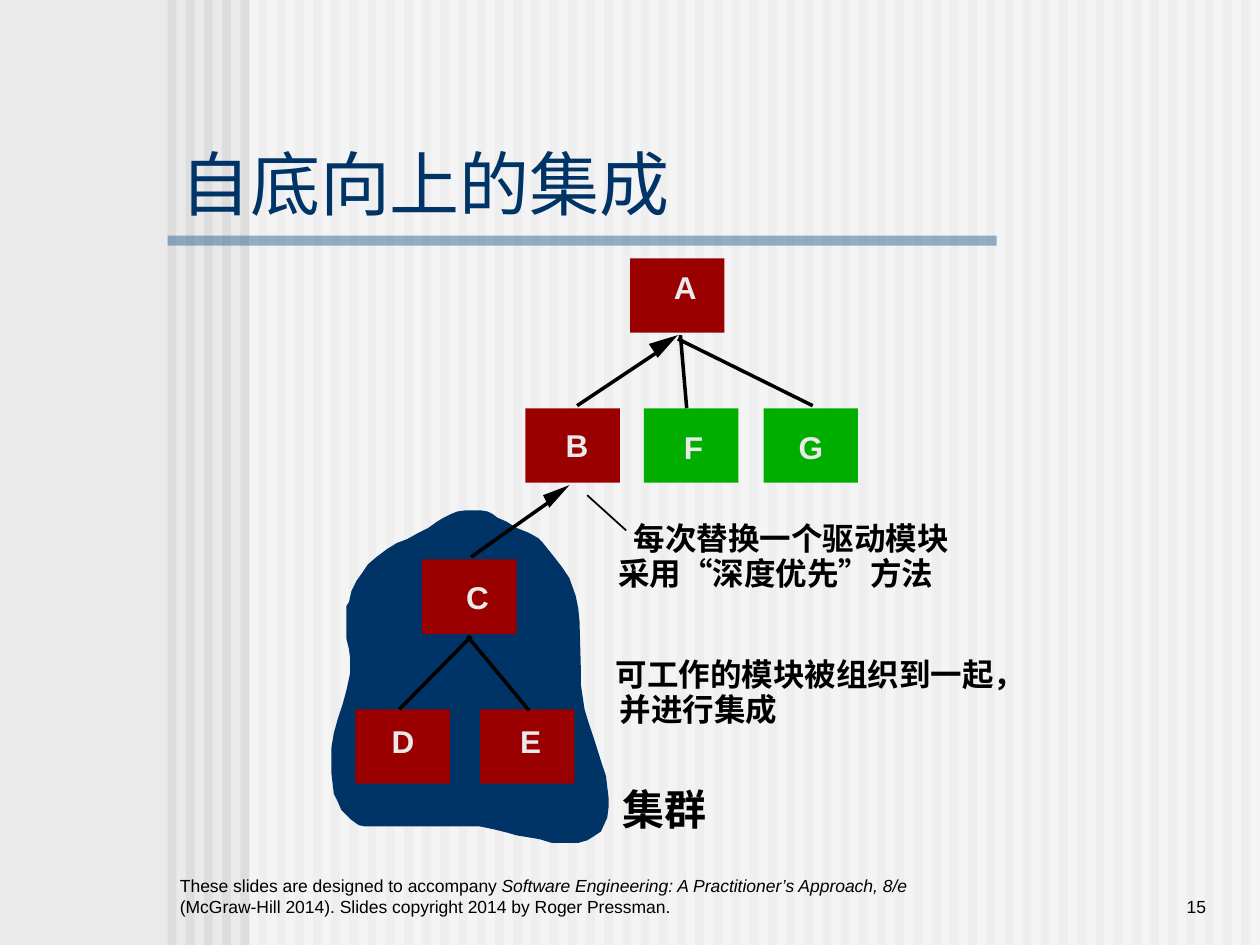
from lxml.etree import SubElement
from pptx import Presentation
from pptx.dml.color import RGBColor
from pptx.enum.shapes import MSO_CONNECTOR as Conn, MSO_SHAPE as Shape
from pptx.enum.text import MSO_ANCHOR as Anchor, MSO_AUTO_SIZE as Fit, PP_ALIGN as Align
from pptx.oxml.ns import qn
from pptx.util import Inches, Pt

THEME = dict(
    font="Arial", back="EAEAEA", stripe="DDDDDD", veil="FFFFFF", rule="336699",
    navy="003366", red="9A0000", green="00AE00", ink="000000", pale="EAEAEA",
    title=40, big=24, body=18, small=10,
)

TITLE = "自底向上的集成"
FOOT = [
    ("These slides are designed to accompany ", False),
    ("Software Engineering: A Practitioner’s Approach, 8/e ", True),
    ("(McGraw-Hill 2014). Slides copyright 2014 by Roger Pressman.", False),
]
PAGE = "15"

# name, box left and top, label left and top, colour
MODULES = [
    ("A", 5.00, 2.05, 5.25, 2.08, "red"),
    ("B", 4.17, 3.24, 4.39, 3.33, "red"),
    ("C", 3.35, 4.44, 3.60, 4.54, "red"),
    ("D", 2.82, 5.63, 3.01, 5.68, "red"),
    ("E", 3.81, 5.63, 4.03, 5.68, "red"),
    ("F", 5.11, 3.24, 5.33, 3.35, "green"),
    ("G", 6.06, 3.24, 6.24, 3.35, "green"),
]
BOX = (0.75, 0.59)
LABEL = (0.38, 0.4)

# text, left, top, width, height, size
NOTES = [
    ("每次替换一个驱动模块", 4.93, 4.07, 2.7, 0.4, "body"),
    ("采用“深度优先”方法", 4.81, 4.35, 2.7, 0.4, "body"),
    ("可工作的模块被组织到一起，", 4.79, 5.15, 3.45, 0.4, "body"),
    ("并进行集成", 4.82, 5.43, 1.45, 0.4, "body"),
    ("集群", 4.84, 6.17, 0.9, 0.5, "big"),
]

# from x, y, to x, y, width in points
LINES = [
    (5.21, 2.80, 4.58, 3.22, 2),
    (4.35, 3.99, 3.74, 4.42, 2),
    (3.74, 5.05, 3.17, 5.63, 2),
    (3.71, 5.05, 4.20, 5.64, 2),
    (5.40, 2.66, 5.45, 3.24, 2),
    (5.38, 2.69, 6.45, 3.22, 2),
    (4.66, 3.93, 4.97, 4.21, 1),
]
HEADS = [
    [(5.38, 2.66), (5.22, 2.84), (5.19, 2.79), (5.15, 2.73)],
    [(4.52, 3.85), (4.36, 4.03), (4.33, 3.97), (4.31, 3.93)],
]
CLUSTER = [
    (4.27, 4.27), (4.20, 4.23), (4.10, 4.19), (4.02, 4.14), (3.95, 4.11),
    (3.91, 4.08), (3.87, 4.06), (3.81, 4.05), (3.70, 4.05), (3.63, 4.06),
    (3.58, 4.08), (3.52, 4.11), (3.47, 4.14), (3.40, 4.19), (3.32, 4.23),
    (3.23, 4.28), (3.15, 4.31), (3.07, 4.36), (2.99, 4.42), (2.92, 4.48),
    (2.88, 4.54), (2.83, 4.61), (2.79, 4.69), (2.77, 4.78), (2.75, 4.81),
    (2.75, 5.07), (2.77, 5.15), (2.78, 5.23), (2.78, 5.34), (2.75, 5.48),
    (2.72, 5.59), (2.68, 5.71), (2.65, 5.82), (2.63, 5.94), (2.63, 6.13),
    (2.65, 6.30), (2.68, 6.36), (2.71, 6.43), (2.74, 6.46), (2.78, 6.50),
    (2.82, 6.53), (2.85, 6.55), (2.90, 6.56), (3.81, 6.56), (3.91, 6.58),
    (4.03, 6.61), (4.10, 6.63), (4.28, 6.66), (4.38, 6.69), (4.59, 6.69),
    (4.66, 6.67), (4.71, 6.64), (4.77, 6.60), (4.82, 6.49), (4.83, 6.41),
    (4.83, 6.33), (4.81, 6.16), (4.78, 6.07), (4.72, 5.88), (4.67, 5.73),
    (4.64, 5.63), (4.61, 5.43), (4.61, 5.29), (4.60, 4.93), (4.59, 4.83),
    (4.57, 4.73), (4.52, 4.59), (4.46, 4.50), (4.39, 4.41), (4.31, 4.31),
]


def hue(name):
    return RGBColor.from_string(THEME[name])


def paint(shape, color, alpha=None):
    shape.shadow.inherit = False
    shape.fill.solid()
    shape.fill.fore_color.rgb = hue(color)
    shape.line.fill.background()
    if alpha:
        tone = shape.fill._xPr.find(".//" + qn("a:srgbClr"))
        SubElement(tone, qn("a:alpha"), val=str(alpha * 1000))


def block(shapes, area, color, alpha=None):
    rect = shapes.add_shape(Shape.RECTANGLE, *map(Inches, area))
    paint(rect, color, alpha)


def outline(shapes, points, color):
    start, *rest = [(Inches(x), Inches(y)) for x, y in points]
    pen = shapes.build_freeform(*start)
    pen.add_line_segments(rest, close=True)
    paint(pen.convert_to_shape(), color)


def link(shapes, x1, y1, x2, y2, width):
    line = shapes.add_connector(Conn.STRAIGHT, *map(Inches, (x1, y1, x2, y2)))
    line.line.color.rgb = hue("ink")
    line.line.width = Pt(width)
    SubElement(line._element.spPr, qn("a:effectLst"))


def write(shape, text, size="body", color="ink", bold=False, wrap=True,
          align=Align.LEFT, anchor=Anchor.TOP):
    """Fill a shape with a string, or with (string, italic) pairs."""
    frame = shape.text_frame
    frame.auto_size = Fit.NONE if wrap else Fit.SHAPE_TO_FIT_TEXT
    frame.word_wrap = wrap
    frame.vertical_anchor = anchor
    para = frame.paragraphs[0]
    para.alignment = align
    for part, slant in [(text, False)] if isinstance(text, str) else text:
        run = para.add_run()
        run.text = part
        font = run.font
        font.name, font.size = THEME["font"], Pt(THEME[size])
        font.bold, font.italic = bold, slant
        font.color.rgb = hue(color)


def label(shapes, area, text, **style):
    write(shapes.add_textbox(*map(Inches, area)), text, **style)


def main():
    deck = Presentation()
    deck.slide_width, deck.slide_height = Inches(10), Inches(7.5)
    slide = deck.slides.add_slide(deck.slide_layouts[5])
    slide.background.fill.solid()
    slide.background.fill.fore_color.rgb = hue("back")
    shapes = slide.shapes

    count, first, last = 60, 1.33, 9.85
    step = (last - first) / (count - 1)
    for i in range(count):
        block(shapes, (first + i * step, 0, 0.07, 7.5), "stripe")
    block(shapes, (1.98, 0, 8.02, 7.5), "veil", alpha=50)
    block(shapes, (1.33, 1.87, 6.58, 0.08), "rule", alpha=50)

    label(shapes, (1.33, 6.83, 6, 0.5), FOOT, size="small", anchor=Anchor.BOTTOM)
    label(shapes, (8.25, 6.83, 1.42, 0.5), PAGE, size="small",
          align=Align.RIGHT, anchor=Anchor.BOTTOM)
    title = shapes.title
    title.left, title.top, title.width, title.height = map(
        Inches, (1.33, 1.17, 6.18, 0.55))
    write(title, TITLE, size="title", color="navy", anchor=Anchor.MIDDLE)
    shapes._spTree.append(title._element)  # bring in front of the stripes

    outline(shapes, CLUSTER, "navy")
    for _, x, y, _, _, color in MODULES:
        block(shapes, (x, y, *BOX), color)
    for head in HEADS:
        outline(shapes, head, "ink")
    for line in LINES:
        link(shapes, *line)
    for name, _, _, x, y, _ in MODULES:
        label(shapes, (x, y, *LABEL), name, color="pale", bold=True, wrap=False)
    for text, *area, size in NOTES:
        label(shapes, area, text, size=size, bold=True, wrap=False)

    deck.save("out.pptx")


if __name__ == "__main__":
    main()
